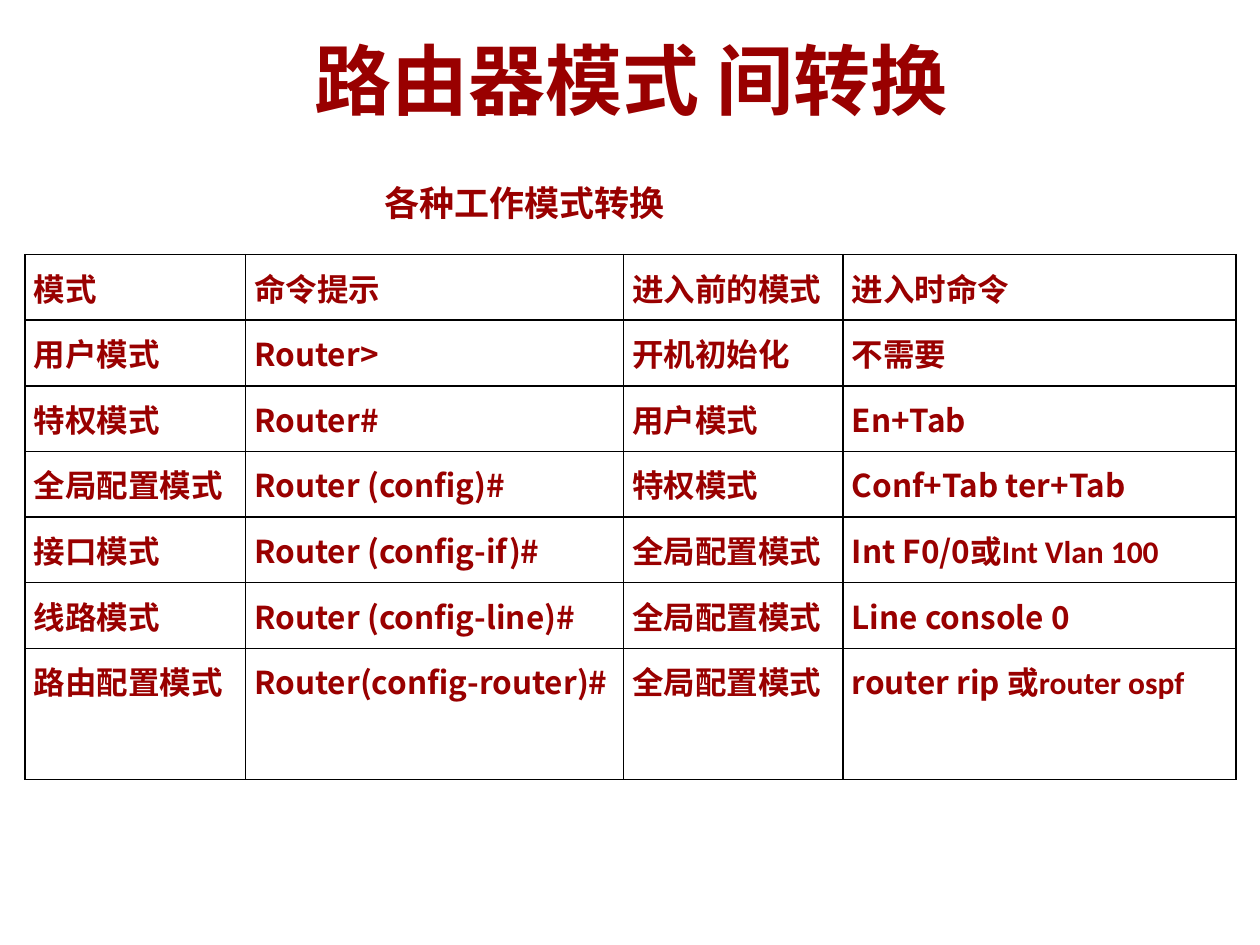
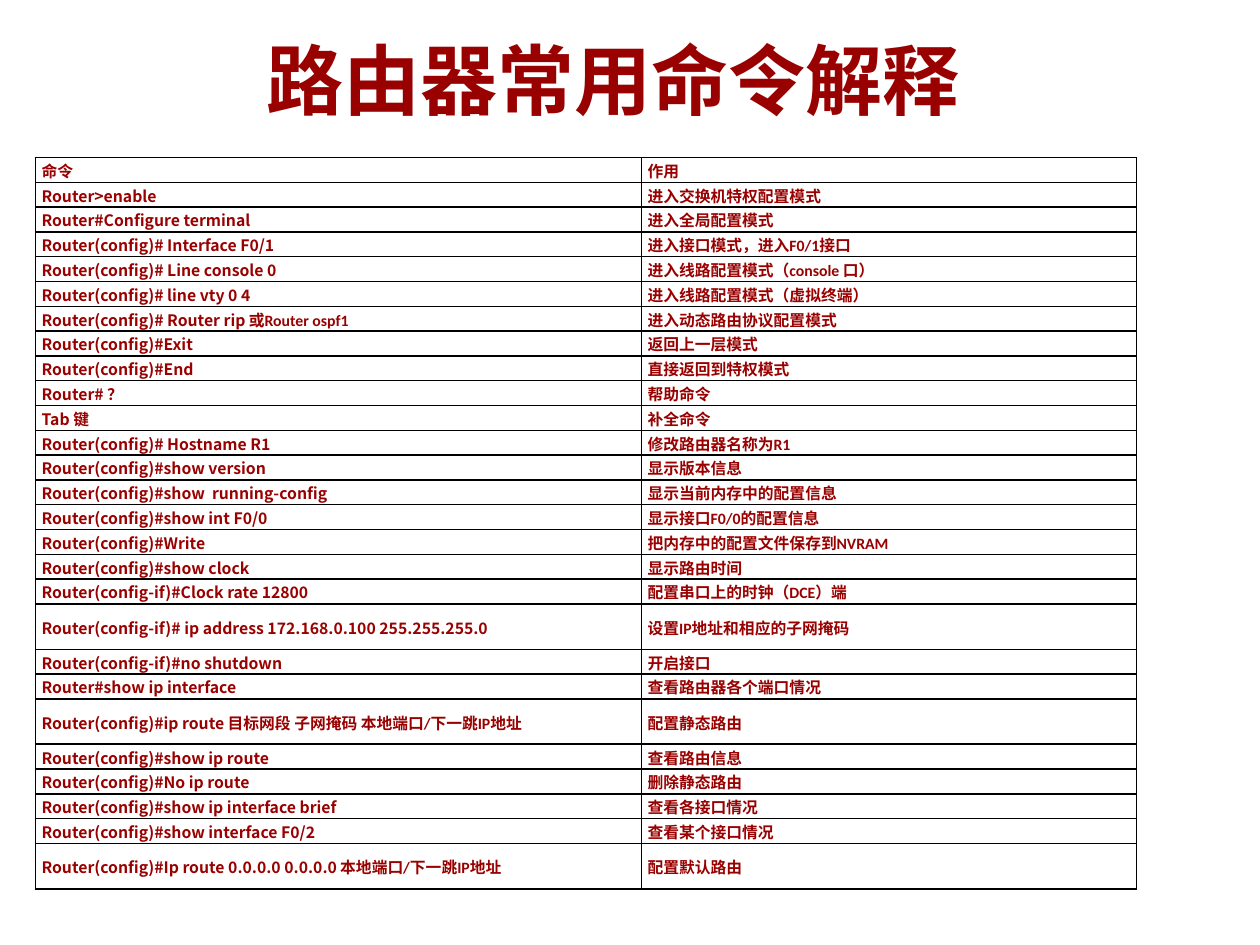
from lxml import etree
from pptx import Presentation
from pptx.dml.color import RGBColor
from pptx.enum.text import MSO_ANCHOR, MSO_AUTO_SIZE, PP_ALIGN
from pptx.oxml.ns import qn
from pptx.util import Inches, Pt

DARK_RED = RGBColor(0x99, 0x00, 0x00)
BLACK = RGBColor(0x00, 0x00, 0x00)
WHITE = RGBColor(0xFF, 0xFF, 0xFF)
CJK_FONT = "Noto Sans CJK SC"
BODY_FONT = "Calibri"
MIDDLE, TOP = MSO_ANCHOR.MIDDLE, MSO_ANCHOR.TOP
CENTER, LEFT = PP_ALIGN.CENTER, PP_ALIGN.LEFT
GROW = MSO_AUTO_SIZE.SHAPE_TO_FIT_TEXT

MODE_ROWS = [
    ("模式", "命令提示", "进入前的模式", "进入时命令"),
    ("用户模式", "Router>", "开机初始化", "不需要"),
    ("特权模式", "Router#", "用户模式", "En+Tab"),
    ("全局配置模式", "Router (config)#", "特权模式", "Conf+Tab ter+Tab"),
    ("接口模式", "Router (config-if)#", "全局配置模式", "Int F0/0或Int Vlan 100"),
    ("线路模式", "Router (config-line)#", "全局配置模式", "Line console 0"),
    ("路由配置模式", "Router(config-router)#", "全局配置模式", "router rip 或router ospf"),
    ("", "", "", ""),
]

COMMAND_ROWS = [
    ("命令", "作用"),
    ("Router>enable", "进入交换机特权配置模式"),
    ("Router#Configure terminal", "进入全局配置模式"),
    ("Router(config)# Interface F0/1", "进入接口模式，进入F0/1接口"),
    ("Router(config)# Line console 0", "进入线路配置模式（console 口）"),
    ("Router(config)# line vty 0 4", "进入线路配置模式（虚拟终端）"),
    ("Router(config)# Router rip 或Router ospf1", "进入动态路由协议配置模式"),
    ("Router(config)#Exit", "返回上一层模式"),
    ("Router(config)#End", "直接返回到特权模式"),
    ("Router# ？", "帮助命令"),
    ("Tab 键", "补全命令"),
    ("Router(config)# Hostname R1", "修改路由器名称为R1"),
    ("Router(config)#show version", "显示版本信息"),
    ("Router(config)#show  running-config", "显示当前内存中的配置信息"),
    ("Router(config)#show int F0/0", "显示接口F0/0的配置信息"),
    ("Router(config)#Write", "把内存中的配置文件保存到NVRAM"),
    ("Router(config)#show clock", "显示路由时间"),
    ("Router(config-if)#Clock rate 12800", "配置串口上的时钟（DCE）端"),
    ("Router(config-if)# ip address 172.168.0.100 255.255.255.0", "设置IP地址和相应的子网掩码"),
    ("Router(config-if)#no shutdown", "开启接口"),
    ("Router#show ip interface", "查看路由器各个端口情况"),
    ("Router(config)#ip route 目标网段 子网掩码 本地端口/下一跳IP地址", "配置静态路由"),
    ("Router(config)#show ip route", "查看路由信息"),
    ("Router(config)#No ip route", "删除静态路由"),
    ("Router(config)#show ip interface brief", "查看各接口情况"),
    ("Router(config)#show interface F0/2", "查看某个接口情况"),
    ("Router(config)#Ip route 0.0.0.0 0.0.0.0 本地端口/下一跳IP地址", "配置默认路由"),
]
TALL_COMMAND_ROWS = {18: 0.36, 21: 0.36, 26: 0.36}


def split_command(text):
    """Split text into its leading ASCII command and the remaining explanation."""
    cut = next((i for i, letter in enumerate(text) if not letter.isascii()), len(text))
    parts = [(text[:cut], CJK_FONT), (text[cut:], BODY_FONT)]
    return [(part, font) for part, font in parts if part]


def write_text(frame, text, size, font=None, align=LEFT, space_percent=20):
    """Write one bold paragraph; without a font, commands and prose get their own."""
    para = frame.paragraphs[0]
    para.alignment = align
    if space_percent:
        spacing = etree.SubElement(para._p.get_or_add_pPr(), qn("a:spcBef"))
        etree.SubElement(spacing, qn("a:spcPct"), val=str(space_percent * 1000))
    for part, face in [(text, font)] if font else split_command(text):
        span = para.add_run()
        span.text = part
        span.font.size = Pt(size)
        span.font.bold = True
        span.font.color.rgb = DARK_RED
        span.font.name = face
        east_asian = etree.Element(qn("a:ea"), typeface=CJK_FONT)
        span._r.get_or_add_rPr().find(qn("a:latin")).addnext(east_asian)


def set_borders(cell, hidden=()):
    """Draw black one-point cell edges, except those named in hidden."""
    properties = cell._tc.get_or_add_tcPr()
    for side in "LRTB":
        line = etree.SubElement(properties, qn(f"a:ln{side}"), w=str(Pt(1)))
        if side in hidden:
            etree.SubElement(line, qn("a:noFill"))
        else:
            fill = etree.SubElement(line, qn("a:solidFill"))
            etree.SubElement(fill, qn("a:srgbClr"), val=str(BLACK))


class RouterDeck:
    def __init__(self):
        self.deck = Presentation()
        self.deck.slide_width = Inches(10)
        self.deck.slide_height = Inches(7.5)
        self.page = None

    def add_page(self):
        self.page = self.deck.slides.add_slide(self.deck.slide_layouts[6])
        self.page.background.fill.solid()
        self.page.background.fill.fore_color.rgb = WHITE

    def add_text(self, text, left, top, width, height, anchor=TOP, wrap=True, **text_format):
        box = self.page.shapes.add_textbox(*map(Inches, (left, top, width, height)))
        frame = box.text_frame
        frame.word_wrap = wrap
        frame.vertical_anchor = anchor
        if not wrap:
            frame.auto_size = GROW
        write_text(frame, text, **text_format)

    def add_title(self, text, left, width, **text_format):
        self.add_text(text, left, 0, width, 1.25, anchor=MIDDLE, size=44, align=CENTER,
                      **text_format)

    def add_table(self, rows, left, top, height, columns, size, margins,
                  tall_rows=None, open_seam=None):
        """Share the height left by tall_rows equally; open_seam is a row with no line below."""
        tall_rows = tall_rows or {}
        row_height = (height - sum(tall_rows.values())) / (len(rows) - len(tall_rows))
        table = self.page.shapes.add_table(
            len(rows), len(columns), *map(Inches, (left, top, sum(columns), height))).table
        table.first_row = table.horz_banding = False
        for column, width in zip(table.columns, columns):
            column.width = Inches(width)
        side_margin, top_margin = margins
        for i, texts in enumerate(rows):
            table.rows[i].height = Inches(tall_rows.get(i, row_height))
            hidden = ""
            if open_seam is not None:
                hidden = {open_seam: "B", open_seam + 1: "T"}.get(i, "")
            for j, text in enumerate(texts):
                cell = table.cell(i, j)
                cell.vertical_anchor = MIDDLE
                cell.margin_left = cell.margin_right = Inches(side_margin)
                cell.margin_top, cell.margin_bottom = Inches(top_margin), 0
                set_borders(cell, hidden)
                cell.fill.background()
                write_text(cell.text_frame, text, size)

    def save(self):
        self.deck.save("out.pptx")


def add_modes_page(deck):
    deck.add_page()
    deck.add_title("路由器模式 间转换", 0.51, 9, font="Arial", space_percent=0)
    deck.add_table(MODE_ROWS, 0.2, 2.02, 4.17, (1.75, 3, 1.74, 3.12), 18, (0.07, 0),
                   open_seam=6)
    deck.add_text("各种工作模式转换", 2.95, 1.39, 2.46, 0.44, wrap=False, size=20,
                  font="Roboto")


def add_commands_page(deck):
    deck.add_page()
    deck.add_title("路由器常用命令解释", 0, 9.73, font=CJK_FONT)
    deck.add_table(COMMAND_ROWS, 0.28, 1.25, 5.81, (4.81, 3.93), 9, (0.05, 0.01),
                   tall_rows=TALL_COMMAND_ROWS)


def main():
    deck = RouterDeck()
    add_modes_page(deck)
    add_commands_page(deck)
    deck.save()


if __name__ == "__main__":
    main()
